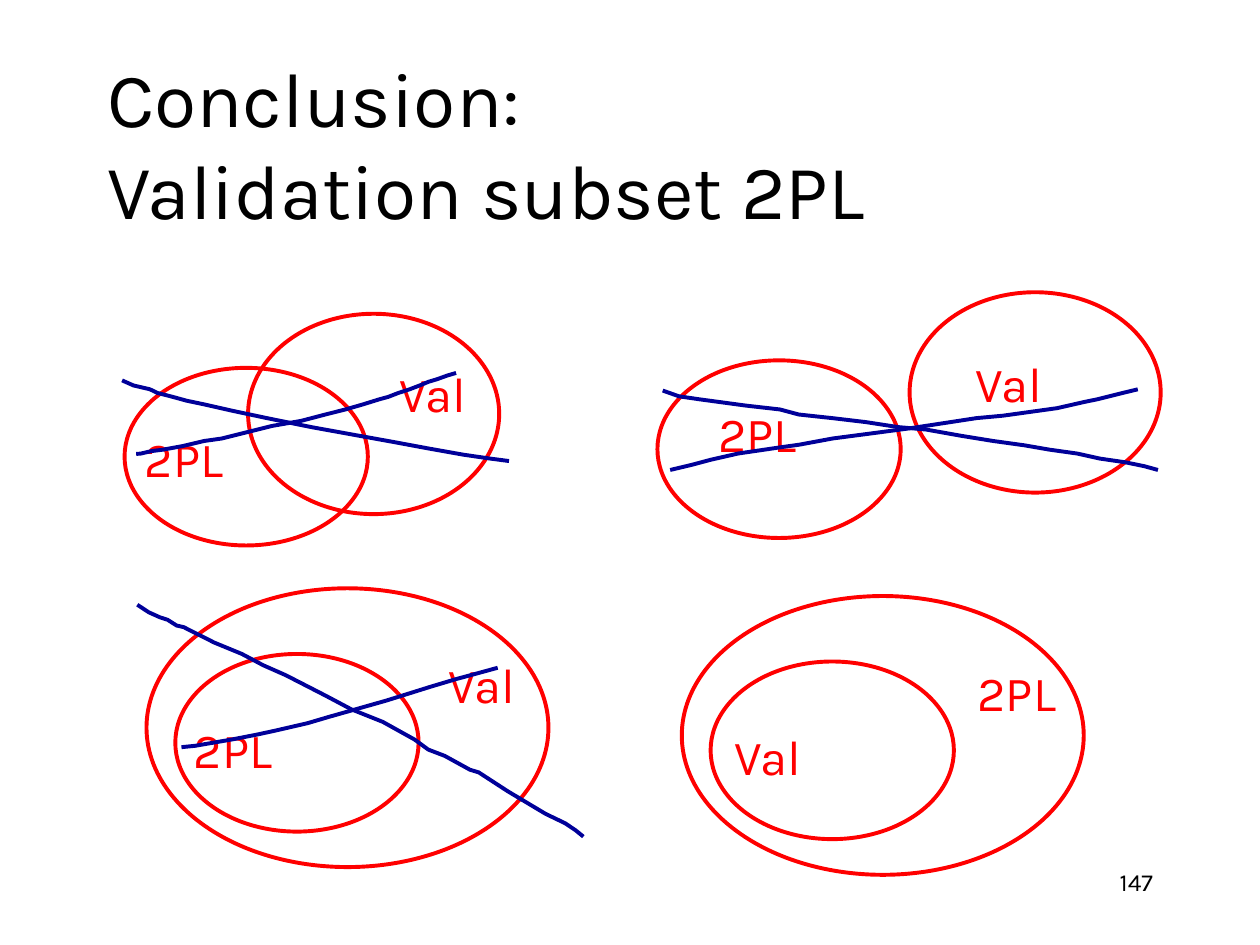
import pptx
import pptx.util
import pptx.dml.color
import pptx.enum.shapes
import pptx.enum.text

Pt = pptx.util.Pt
ALIGN = pptx.enum.text.PP_ALIGN
ANCHOR = pptx.enum.text.MSO_ANCHOR
COLORS = {"black": "000000", "red": "FF0000", "blue": "000099"}


def write(box, text, size=28, color="red", align=ALIGN.CENTER, anchor=ANCHOR.TOP, wrap=False):
    frame = box.text_frame
    frame.word_wrap = wrap
    frame.auto_size = pptx.enum.text.MSO_AUTO_SIZE.NONE
    frame.vertical_anchor = anchor
    para = frame.paragraphs[0]
    para.alignment = align
    for number, line in enumerate(text.split("\n")):
        if number:
            para.add_line_break()
        span = para.add_run()
        span.text = line
        span.font.name = "Karla"
        span.font.size = Pt(size)
        span.font.color.rgb = pptx.dml.color.RGBColor.from_string(COLORS[color])


def outline(shape, color):
    shape.shadow.inherit = False
    shape.fill.background()
    shape.line.color.rgb = pptx.dml.color.RGBColor.from_string(COLORS[color])
    shape.line.width = Pt(2.25)


deck = pptx.Presentation()
deck.slide_width, deck.slide_height = Pt(720), Pt(540)
page = deck.slides.add_slide(deck.slide_layouts[5])

# Title
title = page.shapes.title
title.left, title.top, title.width, title.height = Pt(54), Pt(36.7), Pt(612), Pt(90)
write(title, "Conclusion: \nValidation subset 2PL", size=44, color="black",
      align=ALIGN.LEFT, anchor=ANCHOR.MIDDLE, wrap=True)

# Page number
number_box = page.shapes.add_textbox(Pt(516), Pt(492), Pt(150), Pt(36))
write(number_box, "147", size=14, color="black", align=ALIGN.RIGHT, wrap=True)

# Set diagrams: ellipses (left, top, size) and labels (left, top, text)
SIZES = {"small": (139, 101.5), "medium": (143.5, 114.5), "large": (229.7, 159.3)}
LABEL_WIDTHS = {"2PL": 59, "Val": 52.6}
diagrams = [
    # Overlapping
    ([(71.2, 210.2, "small"), (141.8, 179.3, "medium")],
     [(75.6, 241.2, "2PL"), (221, 204.3, "Val")]),
    # Disjoint
    ([(375.7, 205.9, "small"), (519.8, 167, "medium")],
     [(403.2, 226.8, "2PL"), (550, 198.7, "Val")]),
    # 2PL inside Val
    ([(100.2, 373.7, "small"), (83.7, 336.2, "large")],
     [(103.7, 407.5, "2PL"), (249.1, 370.6, "Val")]),
    # Val inside 2PL
    ([(406.1, 378, "small"), (389.6, 340.6, "large")],
     [(412.6, 411.8, "Val"), (551.5, 375.1, "2PL")]),
]
for ellipses, labels in diagrams:
    for left, top, size in ellipses:
        width, height = SIZES[size]
        ellipse = page.shapes.add_shape(pptx.enum.shapes.MSO_SHAPE.OVAL,
                                        Pt(left), Pt(top), Pt(width), Pt(height))
        outline(ellipse, "red")
    for left, top, text in labels:
        label = page.shapes.add_textbox(Pt(left), Pt(top), Pt(LABEL_WIDTHS[text]), Pt(41))
        write(label, text)

# Hand-drawn strokes crossing out the three wrong cases
strokes = [
    # Overlapping
    [(260.6, 213.1), (255.6, 214.6), (249.8, 216.7), (244.8, 218.2), (240.5, 220),
     (234, 222.5), (227.5, 224.6), (221.8, 226.8), (216.7, 228.2), (207.4, 231.1),
     (197.3, 234), (185.8, 236.9), (172.1, 240.5), (155.5, 243.4), (141.1, 247),
     (126.7, 250.6), (116.6, 252), (104.4, 254.9), (92.9, 257), (86.4, 257.8),
     (80.6, 259.2), (77.8, 259.4)],
    [(69.8, 217.4), (76.3, 220.3), (85.7, 222.5), (90, 224.6), (98.6, 226.8),
     (106.6, 229), (116.6, 231.1), (132.5, 234.7), (152.6, 239), (177.8, 244.1),
     (201.6, 248.4), (225.4, 252.7), (244.8, 256.3), (265, 259.9), (280.1, 262.1),
     (290.9, 263.5)],
    # Disjoint
    [(378.7, 223.2), (388, 226.5), (399.6, 228.2), (426.2, 231.8), (445.7, 234),
     (456.5, 236.9), (475.9, 239), (494.6, 241.2), (513.4, 244.1), (529.2, 245.5),
     (549.4, 249.1), (567.4, 252), (585.4, 254.5), (599.8, 257), (615.6, 259.2),
     (628.6, 262.1), (643, 264.2), (653.8, 266.4), (661.7, 268.6)],
    [(383, 268.6), (395.3, 265.7), (406.1, 262.8), (421.9, 259.2), (437, 257),
     (446.4, 255.6), (456.5, 254.2), (475.9, 250.6), (498.2, 247.7), (520, 244.8),
     (543.6, 241.2), (558, 239), (573.1, 237.6), (604.1, 233.3), (619.9, 229.7),
     (627.1, 228.2), (641.5, 224.6), (650.2, 222.5)],
    # 2PL inside Val
    [(284.4, 381.6), (276.5, 383.8), (260.6, 388.1), (246.2, 392.4), (234.7, 396),
     (221, 400.3), (205.9, 404.6), (187.9, 409.7), (175.7, 413.3), (157, 417.6),
     (146.9, 419.8), (132.5, 422.6), (111.6, 426.2), (103.7, 427)],
    [(78.5, 345.6), (85, 349.9), (91.4, 352.8), (95.8, 354.2), (101, 357.5),
     (105, 358.4), (122.4, 367.2), (138.2, 373.7), (150.5, 380.2), (163.4, 385.9),
     (185.8, 397.4), (200.9, 405.4), (218.9, 412.6), (236.9, 422.6), (244.8, 428.4),
     (254.2, 432), (268.6, 439.9), (273.6, 441.4), (290.2, 452.2), (311.8, 465.1),
     (323, 470.5), (329, 474.5), (333.4, 478.1)],
]
for stroke in strokes:
    points = [(Pt(x), Pt(y)) for x, y in stroke]
    builder = page.shapes.build_freeform(*points[0])
    builder.add_line_segments(points[1:], close=False)
    outline(builder.convert_to_shape(), "blue")

deck.save("out.pptx")
